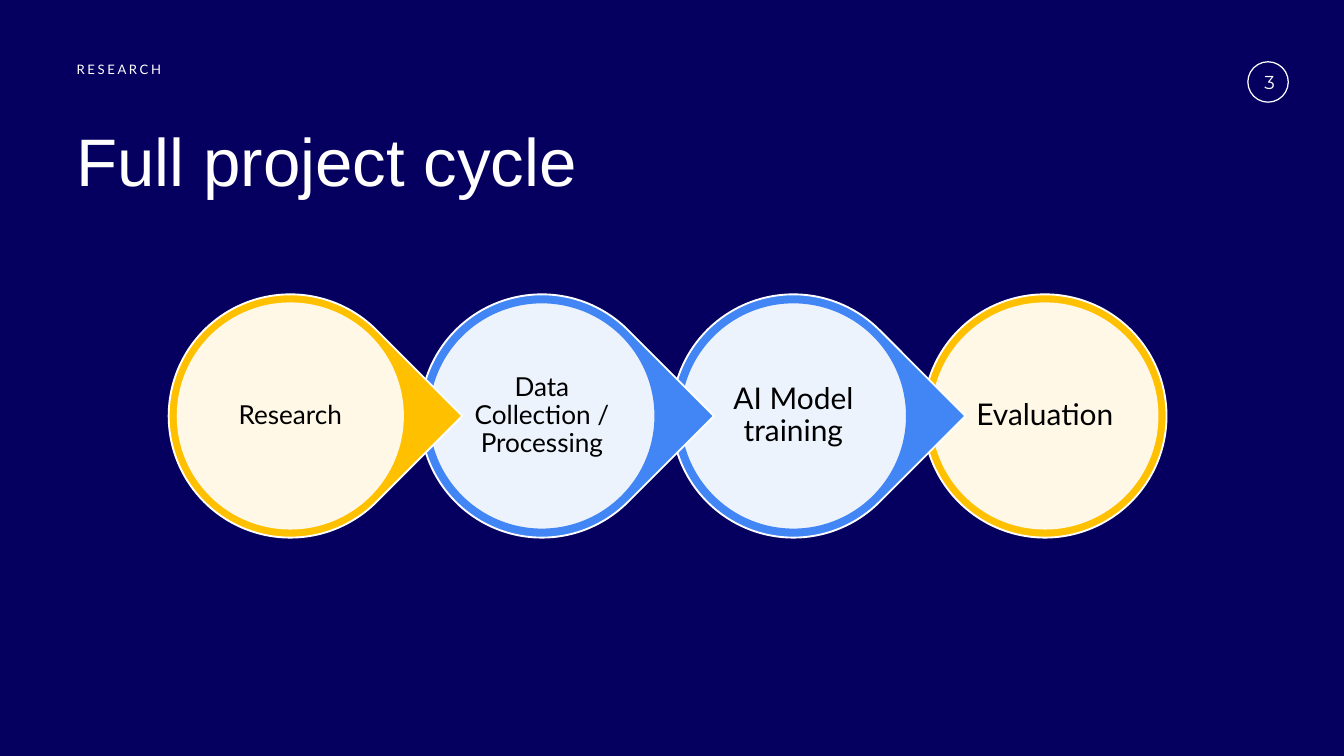
import pptx
import pptx.dml.color
import pptx.enum.shapes
import pptx.enum.text
import pptx.oxml
import pptx.oxml.ns
import pptx.util

Inches = pptx.util.Inches
Pt = pptx.util.Pt
RGBColor = pptx.dml.color.RGBColor
MSO_SHAPE = pptx.enum.shapes.MSO_SHAPE
PP_ALIGN = pptx.enum.text.PP_ALIGN
MSO_ANCHOR = pptx.enum.text.MSO_ANCHOR

NAVY = RGBColor(0x05, 0x00, 0x60)
WHITE = RGBColor(0xFF, 0xFF, 0xFF)
BLACK = RGBColor(0x00, 0x00, 0x00)
AMBER = RGBColor(0xFF, 0xC0, 0x00)
BLUE = RGBColor(0x42, 0x85, 0xF4)

presentation = pptx.Presentation()
presentation.slide_width = Inches(20)
presentation.slide_height = Inches(11.25)
slide = presentation.slides.add_slide(presentation.slide_layouts[6])
slide.background.fill.solid()
slide.background.fill.fore_color.rgb = NAVY


def add_filled_shape(preset, left, top, size, color, line_color=None):
    """Add a square-bounded shape, with a 2 pt outline if line_color is given."""
    shape = slide.shapes.add_shape(
        preset, Inches(left), Inches(top), Inches(size), Inches(size))
    shape.shadow.inherit = False
    shape.fill.solid()
    shape.fill.fore_color.rgb = color
    if line_color is None:
        shape.line.fill.background()
    else:
        shape.line.color.rgb = line_color
        shape.line.width = Pt(2)
    return shape


def add_text(text, box, font_format, paragraph_format, inset=0, anchor=MSO_ANCHOR.TOP):
    text_box = slide.shapes.add_textbox(*[Inches(length) for length in box])
    frame = text_box.text_frame
    frame.word_wrap = True
    frame.vertical_anchor = anchor
    for side in ("left", "top", "right", "bottom"):
        setattr(frame, f"margin_{side}", Inches(inset))
    paragraph = frame.paragraphs[0]
    for name, value in paragraph_format.items():
        setattr(paragraph, name, value)
    run = paragraph.add_run()
    run.text = text
    font_format = dict(font_format)
    run.font.color.rgb = font_format.pop("color")
    for name, value in font_format.items():
        setattr(run.font, name, value)
    return run


# Header
page_ring = add_filled_shape(MSO_SHAPE.DONUT, 18.56, 0.91, 0.62, WHITE)
page_ring.adjustments[0] = 0.03
section_run = add_text(
    "RESEARCH", (1.14, 0.88, 3.12, 0.26),
    {"name": "Lato", "size": Pt(14), "color": WHITE}, {"line_spacing": Pt(19.6)})
section_run.font._element.set("spc", "280")
add_text(
    "Full project cycle", (1.14, 1.88, 11.97, 1.13),
    {"name": "Arial", "size": Pt(72), "color": WHITE}, {"line_spacing": Pt(79.2)})

# Project stages, drawn from last to first so each tip overlaps the next stage
stages = [
    ("Research", AMBER, None, 28),
    ("Data Collection / Processing", BLUE, BLUE, 28),
    ("AI Model training", BLUE, BLUE, 32),
    ("Evaluation", AMBER, None, 32),
]
first_left, stage_top, pitch = 2.51, 4.38, 3.743
outer_size, inner_size, label_size = 3.62, 3.38, 2.42
inner_offset = (outer_size - inner_size) / 2
label_offset = (outer_size - label_size) / 2

for index, (label, color, inner_line, text_size) in reversed(list(enumerate(stages))):
    left = first_left + index * pitch
    is_last = index == len(stages) - 1
    preset = MSO_SHAPE.OVAL if is_last else MSO_SHAPE.TEAR
    outer = add_filled_shape(preset, left, stage_top, outer_size, color, WHITE)
    if not is_last:
        outer.rotation = 45
        outer.adjustments[0] = 1

    inner = add_filled_shape(
        MSO_SHAPE.OVAL, left + inner_offset, stage_top + inner_offset,
        inner_size, WHITE, inner_line)
    fill_color = inner._element.spPr.find(
        pptx.oxml.ns.qn("a:solidFill")).find(pptx.oxml.ns.qn("a:srgbClr"))
    fill_color.append(pptx.oxml.parse_xml(
        f'<a:alpha {pptx.oxml.ns.nsdecls("a")} val="90000"/>'))

    add_text(
        label,
        (left + label_offset, stage_top + label_offset, label_size, label_size),
        {"name": "Lato", "size": Pt(text_size), "color": BLACK},
        {"alignment": PP_ALIGN.CENTER, "line_spacing": 0.9},
        inset=0.04, anchor=MSO_ANCHOR.MIDDLE)

add_text(
    "3", (17.87, 0.79, 1.2, 0.86),
    {"name": "Montserrat", "size": Pt(20), "color": WHITE},
    {"alignment": PP_ALIGN.RIGHT}, inset=0.1, anchor=MSO_ANCHOR.MIDDLE)

presentation.save("out.pptx")
